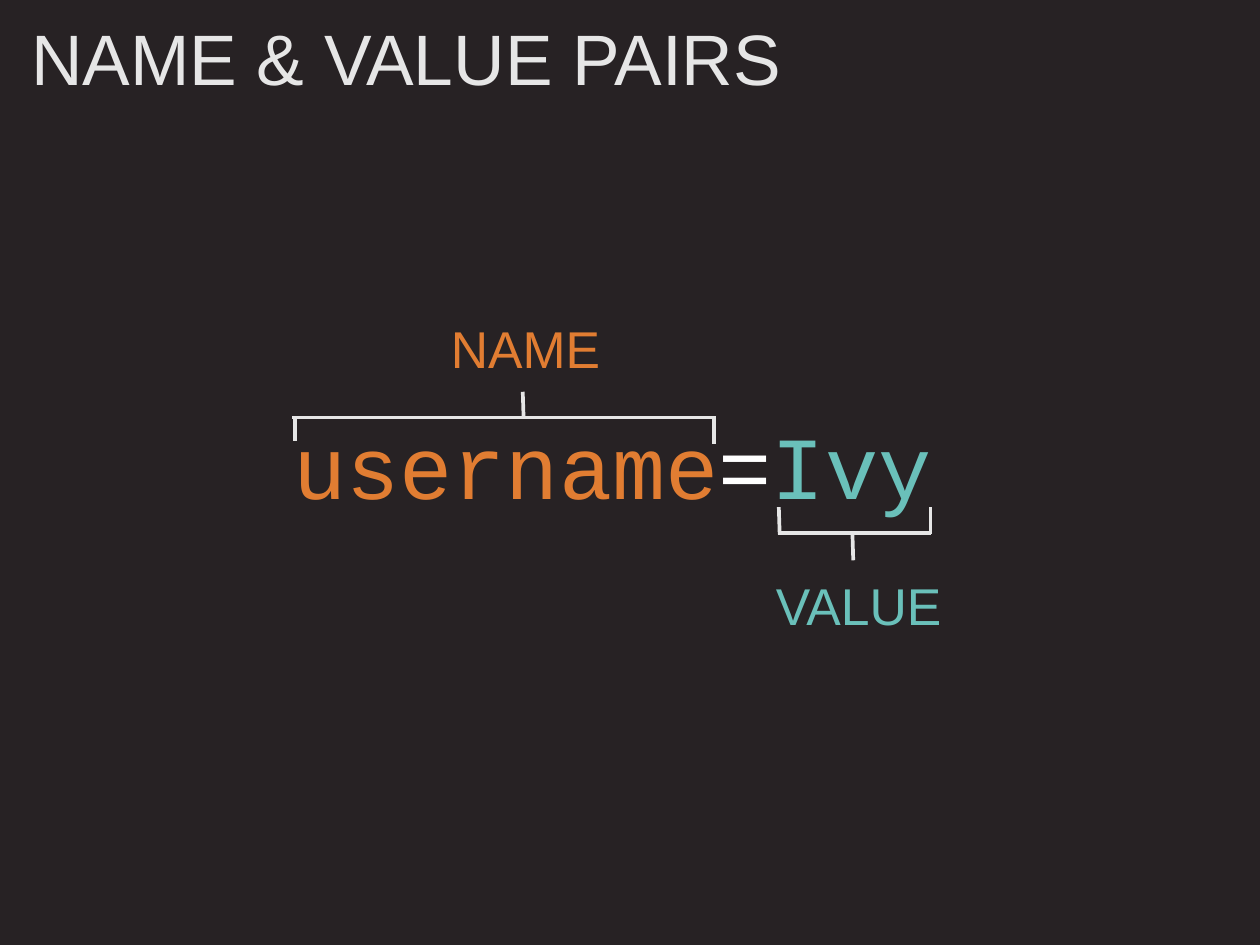
"""Build a slide that labels the two halves of a name and value pair."""
from pptx import Presentation
from pptx.dml.color import RGBColor
from pptx.enum.shapes import MSO_CONNECTOR
from pptx.enum.text import MSO_ANCHOR, PP_ALIGN
from pptx.oxml.ns import qn
from pptx.util import Inches, Pt

STRAIGHT = MSO_CONNECTOR.STRAIGHT
TOP, MIDDLE = MSO_ANCHOR.TOP, MSO_ANCHOR.MIDDLE
LEFT, CENTER = PP_ALIGN.LEFT, PP_ALIGN.CENTER

WIDTH, HEIGHT = 14.22, 10.66
DARK, LIGHT, WHITE = "272224", "E6E6E6", "FFFFFF"
ORANGE, TEAL = "E17D32", "6AC0BA"
SANS, MONO = "Arial", "Courier New"
LINE_WIDTH = 3
OVERLAP = 0.15
LABEL_SIZE = (46.27, 7.6)

TITLE = [("NAME & VALUE PAIRS", LIGHT)]
TITLE_AREA = (2.46, 3.28, 95.71, 10.41)
PAIR = [("username", ORANGE), ("=", WHITE), ("Ivy", TEAL)]
PAIR_AREA = (22.93, 43.43, 51.34, 11.26)

BRACKETS = [
    {"label": ("VALUE", TEAL), "corner": (45.01, 60.23),
     "bar": (61.74, 73.91, 56.38),
     "strokes": [(61.88, 61.81, -2.72), (73.84, 73.84, -2.72), (67.65, 67.72, 2.91)]},
    {"label": ("NAME", ORANGE), "corner": (18.57, 33.02),
     "bar": (23.21, 56.75, 44.18),
     "strokes": [(23.42, 23.42, 2.44), (56.68, 56.68, 2.81), (41.56, 41.49, -2.72)]},
]


def color(value):
    return RGBColor.from_string(value)


def across(percent):
    return Inches(WIDTH * percent / 100)


def down(percent):
    return Inches(HEIGHT * percent / 100)


def add_text(shapes, area, spans, font, size, align=CENTER, anchor=MIDDLE):
    left, top, width, height = area
    box = shapes.add_textbox(across(left), down(top), across(width), down(height))
    frame = box.text_frame
    frame.word_wrap = True
    frame.vertical_anchor = anchor
    frame.margin_left = frame.margin_right = 0
    frame.margin_top = frame.margin_bottom = 0
    para = frame.paragraphs[0]
    para.alignment = align
    for text, shade in spans:
        span = para.add_run()
        span.text = text
        span.font.name = font
        span.font.size = Pt(size)
        span.font.color.rgb = color(shade)
    return para


def add_line(shapes, start_x, start_y, end_x, end_y):
    line = shapes.add_connector(
        STRAIGHT, across(start_x), down(start_y), across(end_x), down(end_y))
    line.line.color.rgb = color(LIGHT)
    line.line.width = Pt(LINE_WIDTH)
    properties = line._element.spPr
    properties.append(properties.makeelement(qn("a:effectLst"), {}))


def add_bracket(page, bracket):
    shapes = page.shapes.add_group_shape().shapes
    left, right, bar = bracket["bar"]
    add_line(shapes, left, bar, right, bar)
    for bar_x, tip_x, reach in bracket["strokes"]:
        start = bar - OVERLAP if reach > 0 else bar + OVERLAP
        add_line(shapes, bar_x, start, tip_x, bar + reach)
    add_text(shapes, bracket["corner"] + LABEL_SIZE, [bracket["label"]], SANS, 42)


def main():
    deck = Presentation()
    deck.slide_width, deck.slide_height = Inches(WIDTH), Inches(HEIGHT)
    page = deck.slides.add_slide(deck.slide_layouts[6])
    page.background.fill.solid()
    page.background.fill.fore_color.rgb = color(DARK)

    title = add_text(page.shapes, TITLE_AREA, TITLE, SANS, 58, LEFT, TOP)
    title.line_spacing = 0.8
    add_text(page.shapes, PAIR_AREA, PAIR, MONO, 72)
    for bracket in BRACKETS:
        add_bracket(page, bracket)
    deck.save("out.pptx")


if __name__ == "__main__":
    main()
